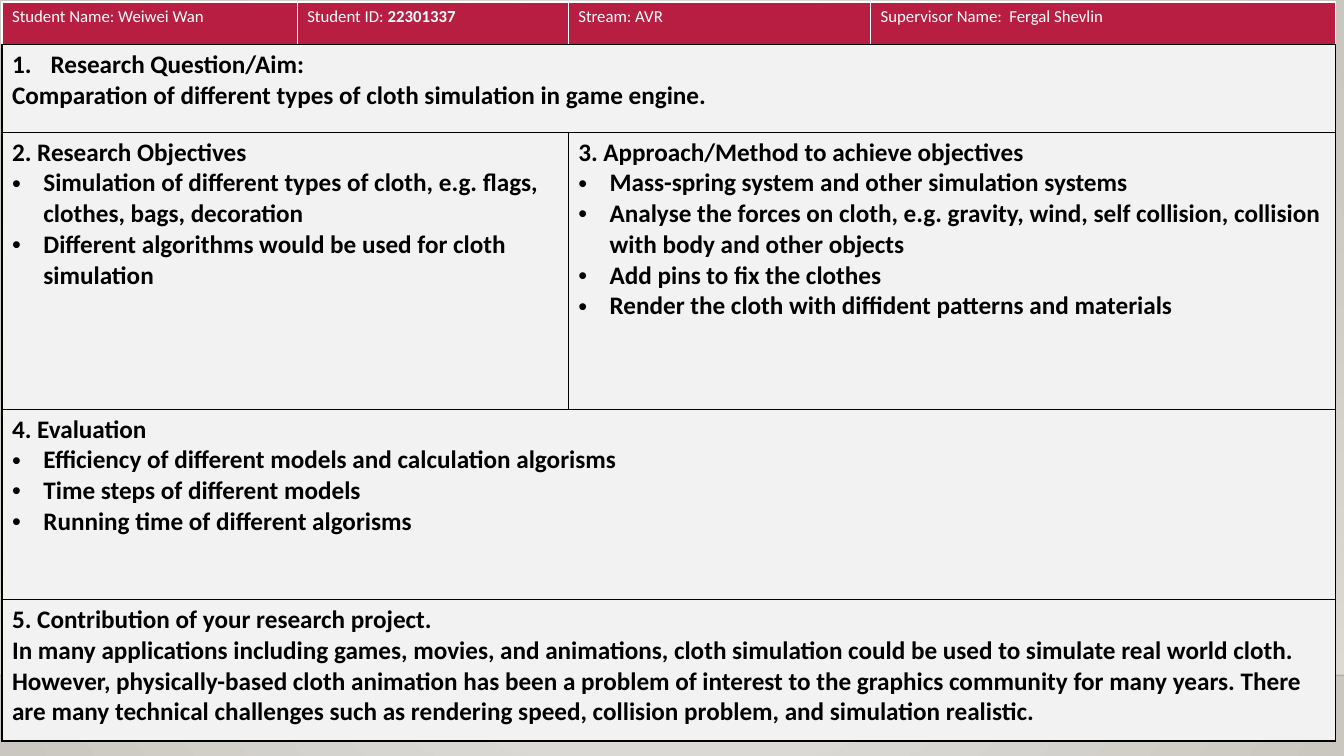
"""Build a one-slide research proposal form as a table."""
from dataclasses import dataclass

from pptx import Presentation
from pptx.dml.color import RGBColor
from pptx.enum.shapes import MSO_CONNECTOR, MSO_SHAPE
from pptx.oxml import parse_xml
from pptx.oxml.ns import nsdecls, qn
from pptx.util import Cm, Pt


@dataclass
class Theme:
    font: str = "Calibri"
    header_size: int = 12
    body_size: int = 18
    crimson: str = "B71E42"
    panel: str = "F2F2F2"
    white: str = "FFFFFF"
    black: str = "000000"
    horizon: str = "000001"
    backdrop: tuple = ("ECEAE7", "CAC7C1")
    floor: tuple = ("DFDBD5", "DFDBD5")


def set_gradient(fill, colors):
    fill.gradient()
    for stop, color in zip(fill.gradient_stops, colors):
        stop.color.rgb = RGBColor.from_string(color)


def add_xml(parent, xml):
    tag, rest = xml[1:].split(" ", 1)
    parent.append(parse_xml(f"<{tag} {nsdecls('a')} {rest}"))


theme = Theme()
prs = Presentation()
prs.slide_width, prs.slide_height = Cm(33.87), Cm(19.05)
s = prs.slides.add_slide(prs.slide_layouts[6])

set_gradient(s.background.fill, theme.backdrop)
lin = next(s._element.iter(qn("a:lin")))
grad = lin.getparent()
grad.remove(lin)
add_xml(grad, '<a:path path="circle"><a:fillToRect l="50000" t="50000" r="50000" b="50000"/></a:path>')

floor = s.shapes.add_shape(MSO_SHAPE.RECTANGLE, 0, Cm(5.61), prs.slide_width, Cm(11.41))
floor.shadow.inherit = False
floor.line.fill.background()
set_gradient(floor.fill, theme.floor)
floor.fill.gradient_angle = 270
add_xml(next(floor._element.iter(qn("a:srgbClr"))), '<a:alpha val="0"/>')

horizon = s.shapes.add_connector(MSO_CONNECTOR.STRAIGHT, 0, Cm(17.02), prs.slide_width, Cm(17.02))
horizon.line.width = Pt(1)
horizon.line.color.rgb = RGBColor.from_string(theme.horizon)
add_xml(next(horizon._element.iter(qn("a:srgbClr"))), '<a:alpha val="20000"/>')
add_xml(horizon._element.spPr, '<a:effectLst />')

col_widths = [7.44, 6.83, 7.62, 11.72]
row_heights = [1.07, 2.21, 6.98, 4.8, 3.56]
table = s.shapes.add_table(len(row_heights), len(col_widths), Cm(0.05), Cm(0.05),
                           Cm(sum(col_widths)), Cm(sum(row_heights))).table
table.first_row = table.horz_banding = False
for col, width in zip(table.columns, col_widths):
    col.width = Cm(width)
for row, height in zip(table.rows, row_heights):
    row.height = Cm(height)

for r, row in enumerate(table.rows):
    for cell in row.cells:
        tcPr = cell._tc.get_or_add_tcPr()
        for side in "LRTB":
            color = theme.white if r == 0 and side != "B" else theme.black
            add_xml(tcPr, f'<a:ln{side} w="12700"><a:solidFill><a:srgbClr val="{color}"/>'
                          f'</a:solidFill></a:ln{side}>')
        cell.fill.solid()
        cell.fill.fore_color.rgb = RGBColor.from_string(theme.panel if r else theme.crimson)

for first, last in [((1, 0), (1, 3)), ((2, 0), (2, 1)), ((2, 2), (2, 3)),
                    ((3, 0), (3, 3)), ((4, 0), (4, 3))]:
    table.cell(*first).merge(table.cell(*last))

markers = {
    "bullet": (0.79, ['<a:buFont typeface="Arial"/>', '<a:buChar char="•"/>']),
    "number": (0.97, ['<a:buFont typeface="+mj-lt"/>', '<a:buAutoNum type="arabicPeriod"/>']),
}
contents = {
    (0, 0): [("plain", "Student Name: Weiwei Wan")],
    (0, 1): [("plain", "Student ID: |22301337")],
    (0, 2): [("plain", "Stream: AVR")],
    (0, 3): [("plain", "Supervisor Name:  Fergal Shevlin")],
    (1, 0): [("number", "Research Question/Aim:"),
             ("plain", "Comparation of different types of cloth simulation in game engine.")],
    (2, 0): [("plain", "2. Research Objectives"),
             ("bullet", "Simulation of different types of cloth, e.g. flags, clothes, bags, decoration"),
             ("bullet", "Different algorithms would be used for cloth simulation")],
    (2, 2): [("plain", "3. Approach/Method to achieve objectives"),
             ("bullet", "Mass-spring system and other simulation systems"),
             ("bullet", "Analyse the forces on cloth, e.g. gravity, wind, self collision, "
                        "collision with body and other objects"),
             ("bullet", "Add pins to fix the clothes"),
             ("bullet", "Render the cloth with diffident patterns and materials")],
    (3, 0): [("plain", "4. Evaluation"),
             ("bullet", "Efficiency of different models and calculation algorisms"),
             ("bullet", "Time steps of different models"),
             ("bullet", "Running time of different algorisms")],
    (4, 0): [("plain", "5. Contribution of your research project."),
             ("plain", "In many applications including games, movies, and animations, cloth "
                       "simulation could be used to simulate real world cloth. However, "
                       "physically-based cloth animation has been a problem of interest to the "
                       "graphics community for many years. There are many technical challenges "
                       "such as rendering speed, collision problem, and simulation realistic.")],
}

for (row, col), paragraphs in contents.items():
    tf = table.cell(row, col).text_frame
    text_color = theme.black if row else theme.white
    for i, (kind, text) in enumerate(paragraphs):
        p = tf.add_paragraph() if i else tf.paragraphs[0]
        if kind in markers:
            indent, marker_xml = markers[kind]
            pPr = p._p.get_or_add_pPr()
            pPr.set("marL", str(Cm(indent)))
            pPr.set("indent", str(-Cm(indent)))
            for xml in marker_xml:
                add_xml(pPr, xml)
        for part, run_text in enumerate(text.split("|")):
            r = p.add_run()
            r.text = run_text
            formats = {"name": theme.font, "bold": row > 0 or part > 0,
                       "size": Pt(theme.body_size if row else theme.header_size)}
            for name, value in formats.items():
                setattr(r.font, name, value)
            r.font.color.rgb = RGBColor.from_string(text_color)

prs.save("out.pptx")
